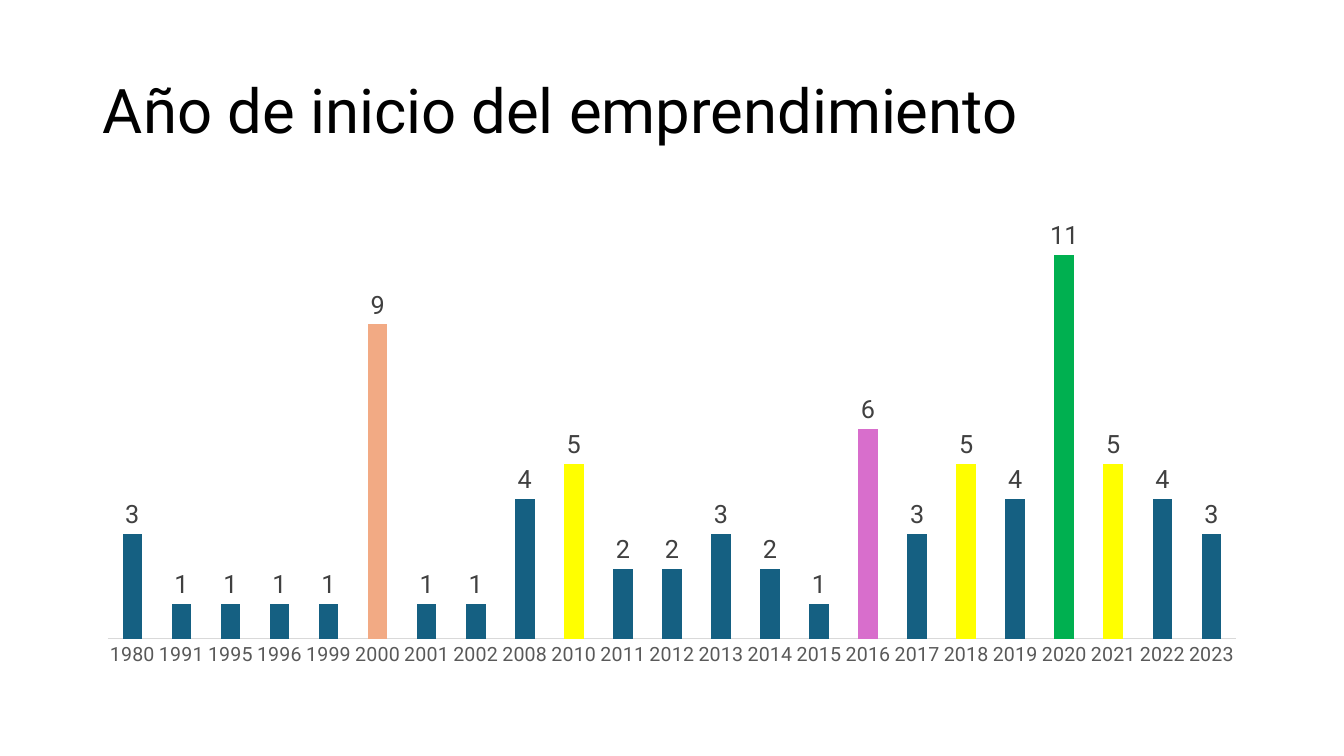
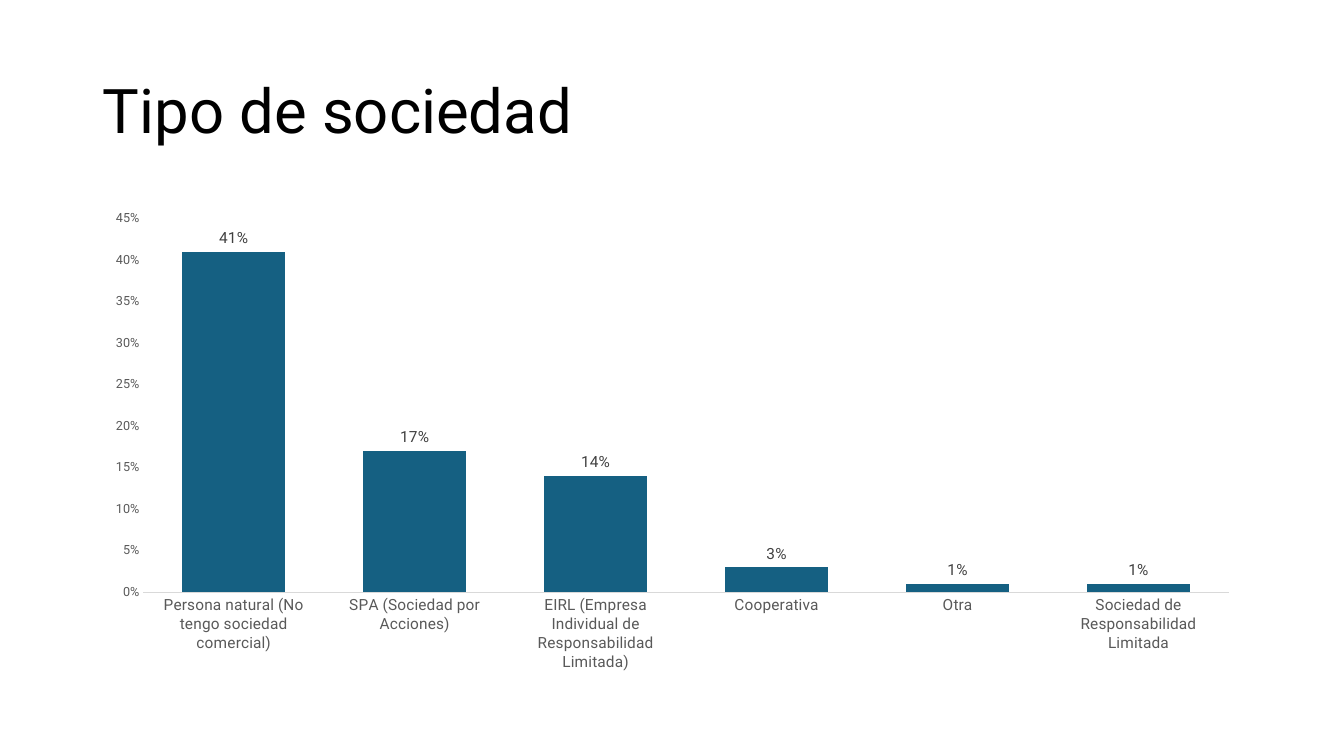
from dataclasses import dataclass

from lxml import etree
from pptx import Presentation
from pptx.chart.data import CategoryChartData
from pptx.dml.color import RGBColor as RGB
from pptx.enum.chart import XL_CHART_TYPE as ChartType
from pptx.enum.chart import XL_LABEL_POSITION as LabelPosition
from pptx.enum.chart import XL_TICK_MARK as TickMark
from pptx.enum.text import MSO_ANCHOR as Anchor
from pptx.enum.text import PP_ALIGN as Align
from pptx.oxml.ns import qn
from pptx.util import Inches, Pt


@dataclass(frozen=True)
class Theme:
    font: str = "Roboto"
    title: RGB = RGB(0x00, 0x00, 0x00)
    bar: RGB = RGB(0x15, 0x60, 0x82)
    axis_text: RGB = RGB(0x59, 0x59, 0x59)
    label_text: RGB = RGB(0x40, 0x40, 0x40)
    axis_line: RGB = RGB(0xD9, 0xD9, 0xD9)
    orange: RGB = RGB(0xF2, 0xAA, 0x84)
    yellow: RGB = RGB(0xFF, 0xFF, 0x00)
    violet: RGB = RGB(0xD8, 0x6E, 0xCC)
    green: RGB = RGB(0x00, 0xB0, 0x50)
    title_size: int = 44
    chart_size: int = 10
    value_axis_size: int = 9


THEME = Theme()
LEFT, WIDTH = Inches(0.92), Inches(11.5)

founded = {
    "1980": 3, "1991": 1, "1995": 1, "1996": 1, "1999": 1, "2000": 9,
    "2001": 1, "2002": 1, "2008": 4, "2010": 5, "2011": 2, "2012": 2,
    "2013": 3, "2014": 2, "2015": 1, "2016": 6, "2017": 3, "2018": 5,
    "2019": 4, "2020": 11, "2021": 5, "2022": 4, "2023": 3,
}
# Years with five or more ventures stand out, one colour per count
highlights = {5: THEME.yellow, 6: THEME.violet, 9: THEME.orange, 11: THEME.green}

company_types = {
    "Persona natural (No tengo sociedad comercial)": 0.41,
    "SPA (Sociedad por Acciones)": 0.17,
    "EIRL (Empresa Individual de Responsabilidad Limitada)": 0.14,
    "Cooperativa": 0.03,
    "Otra": 0.01,
    "Sociedad de Responsabilidad Limitada": 0.01,
}


def style_font(font, size, color):
    font.name = THEME.font
    font.size = Pt(size)
    font.color.rgb = color


def add_column_slide(title_text, values, number_format, axis_max,
                     gap, overlap, category_size, label_size):
    """Add a titled slide with one column series and return its chart."""
    slide = prs.slides.add_slide(title_only)
    title = slide.shapes.title
    title.left, title.top = LEFT, Inches(0.4)
    title.width, title.height = WIDTH, Inches(1.45)
    frame = title.text_frame
    frame.text = title_text
    frame.vertical_anchor = Anchor.MIDDLE
    heading = frame.paragraphs[0]
    heading.alignment = Align.LEFT
    heading.line_spacing = 0.9
    style_font(heading.runs[0].font, THEME.title_size, THEME.title)

    data = CategoryChartData(number_format=number_format)
    data.categories = list(values)
    data.add_series("Series 1", list(values.values()))
    chart = slide.shapes.add_chart(ChartType.COLUMN_CLUSTERED, LEFT, Inches(2),
                                   WIDTH, Inches(4.76), data).chart
    chart.has_title = False
    chart.has_legend = False
    style_font(chart.font, THEME.chart_size, THEME.title)

    plot = chart.plots[0]
    plot.vary_by_categories = False
    plot.gap_width, plot.overlap = gap, overlap
    fill = plot.series[0].format.fill
    fill.solid()
    fill.fore_color.rgb = THEME.bar

    plot.has_data_labels = True
    labels = plot.data_labels
    labels.show_value = True
    labels.position = LabelPosition.OUTSIDE_END
    labels.number_format = number_format
    labels.number_format_is_linked = False
    style_font(labels.font, label_size, THEME.label_text)

    categories = chart.category_axis
    categories.major_tick_mark = TickMark.NONE
    categories.format.line.color.rgb = THEME.axis_line
    categories.format.line.width = Pt(0.75)
    style_font(categories.tick_labels.font, category_size, THEME.axis_text)

    scale = chart.value_axis
    scale.has_major_gridlines = False
    scale.major_tick_mark = TickMark.NONE
    scale.minimum_scale, scale.maximum_scale = 0, axis_max
    scale.format.line.fill.background()
    scale.tick_labels.number_format = number_format
    scale.tick_labels.number_format_is_linked = False
    style_font(scale.tick_labels.font, THEME.value_axis_size, THEME.axis_text)
    return chart


prs = Presentation()
prs.slide_width, prs.slide_height = Inches(13.33), Inches(7.5)
title_only = prs.slide_layouts[5]

# Slide 1: ventures by starting year
years_chart = add_column_slide(
    "Año de inicio del emprendimiento", founded, "General", axis_max=12,
    gap=150, overlap=-25, category_size=14, label_size=18)
years_chart.value_axis.visible = False
year_bars = years_chart.plots[0].series[0]
for index, count in enumerate(founded.values()):
    if count in highlights:
        point_fill = year_bars.points[index].format.fill
        point_fill.solid()
        point_fill.fore_color.rgb = highlights[count]

# Fixed inner plot area, as fractions of the chart
plot_area = years_chart.plots[0]._element.getparent()
layout = plot_area.find(qn("c:layout"))
if layout is None:
    layout = etree.Element(qn("c:layout"))
    plot_area.insert(0, layout)
manual = etree.SubElement(layout, qn("c:manualLayout"))
for tag, value in (("layoutTarget", "inner"), ("xMode", "edge"), ("yMode", "edge"),
                   ("x", "0.013"), ("y", "0.038"), ("w", "0.973"), ("h", "0.873")):
    etree.SubElement(manual, qn(f"c:{tag}")).set("val", value)

# Slide 2: ventures by company type
types_chart = add_column_slide(
    "Tipo de sociedad", company_types, "0%", axis_max=0.45,
    gap=75, overlap=0, category_size=11, label_size=11)
types_chart.value_axis.major_unit = 0.05

prs.save("out.pptx")
